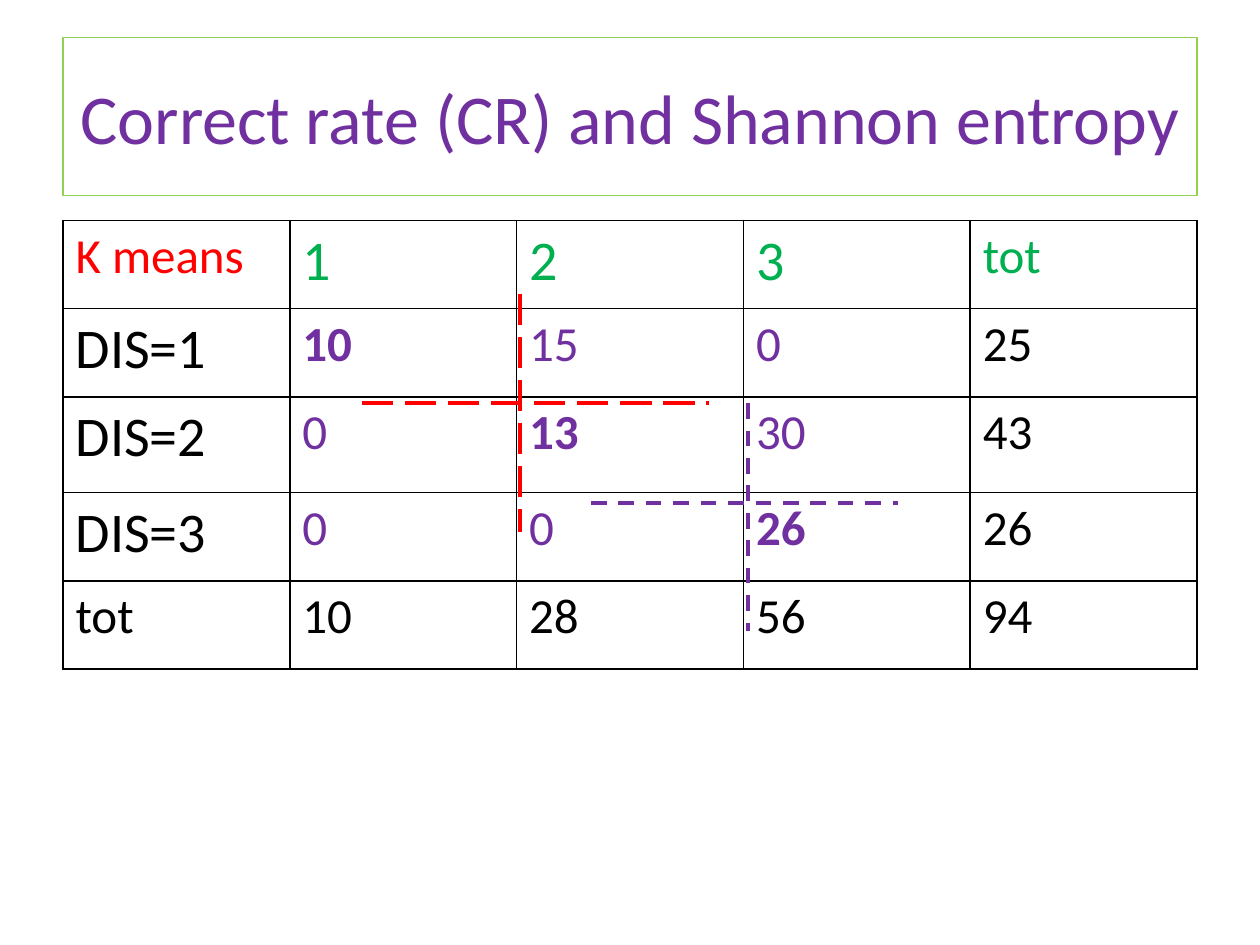
from lxml.etree import SubElement
from pptx import Presentation
from pptx.dml.color import RGBColor
from pptx.enum.dml import MSO_LINE
from pptx.enum.shapes import MSO_CONNECTOR
from pptx.enum.text import MSO_ANCHOR, PP_ALIGN
from pptx.oxml.ns import qn
from pptx.util import Inches, Pt

PURPLE, RED, GREEN, BLACK = "7030A0", "FF0000", "00B050", "000000"


def rgb(value):
    return RGBColor.from_string(value)


def write(tf, text, size=28, color=BLACK, bold=False, align=PP_ALIGN.LEFT):
    p = tf.paragraphs[0]
    p.alignment = align
    r = p.add_run()
    r.text = text
    r.font.name = "Calibri"
    r.font.size = Pt(size)
    r.font.bold = bold
    r.font.color.rgb = rgb(color)


prs = Presentation()
prs.slide_width, prs.slide_height = Inches(10), Inches(7.5)
s = prs.slides.add_slide(prs.slide_layouts[6])

# Title
sp = s.shapes.add_textbox(Inches(0.5), Inches(0.3), Inches(9), Inches(1.25))
sp.line.color.rgb = rgb("92D050")
sp.line.width = Pt(0.75)
tf = sp.text_frame
tf.word_wrap = True
tf.vertical_anchor = MSO_ANCHOR.MIDDLE
write(tf, "Correct rate (CR) and Shannon entropy", size=40, color=PURPLE,
      align=PP_ALIGN.CENTER)

# Confusion table
rows = [
    ["K means", "1", "2", "3", "tot"],
    ["DIS=1", "10", "15", "0", "25"],
    ["DIS=2", "0", "13", "30", "43"],
    ["DIS=3", "0", "0", "26", "26"],
    ["tot", "10", "28", "56", "94"],
]
heights = [0.7, 0.7, 0.76, 0.7, 0.7]
table = s.shapes.add_table(5, 5, Inches(0.5), Inches(1.75),
                           Inches(9), Inches(sum(heights))).table
table.first_row = table.horz_banding = False
for col in table.columns:
    col.width = Inches(1.8)

for i, row in enumerate(rows):
    table.rows[i].height = Inches(heights[i])
    for j, text in enumerate(row):
        cell = table.cell(i, j)
        # Class labels are larger, counts purple, the diagonal bold
        is_label = (i == 0) != (j == 0) and max(i, j) < 4
        is_count = 0 < i < 4 and 0 < j < 4
        if i == 0:
            color = GREEN if j else RED
        else:
            color = PURPLE if is_count else BLACK
        write(cell.text_frame, text, size=32 if is_label else 28,
              color=color, bold=is_count and i == j)
        # Cell borders
        tcPr = cell._tc.get_or_add_tcPr()
        for side in ("a:lnL", "a:lnR", "a:lnT", "a:lnB"):
            ln = SubElement(tcPr, qn(side), w=str(Pt(1)))
            fill = SubElement(ln, qn("a:solidFill"))
            SubElement(fill, qn("a:srgbClr"), val=BLACK)
        cell.fill.background()

# Dashed split lines
splits = [
    (4.69, 3.99, 7.13, 3.99, PURPLE, MSO_LINE.DASH),
    (2.87, 3.2, 5.63, 3.2, RED, MSO_LINE.LONG_DASH),
    (5.94, 3.2, 5.94, 5.01, PURPLE, MSO_LINE.DASH),
    (4.13, 2.33, 4.13, 4.22, RED, MSO_LINE.LONG_DASH),
]
for x1, y1, x2, y2, color, dash in splits:
    line = s.shapes.add_connector(MSO_CONNECTOR.STRAIGHT, Inches(x1),
                                  Inches(y1), Inches(x2), Inches(y2))
    line.line.color.rgb = rgb(color)
    line.line.width = Pt(2.25)
    line.line.dash_style = dash
    SubElement(line._element.spPr, qn("a:effectLst"))

prs.save("out.pptx")
